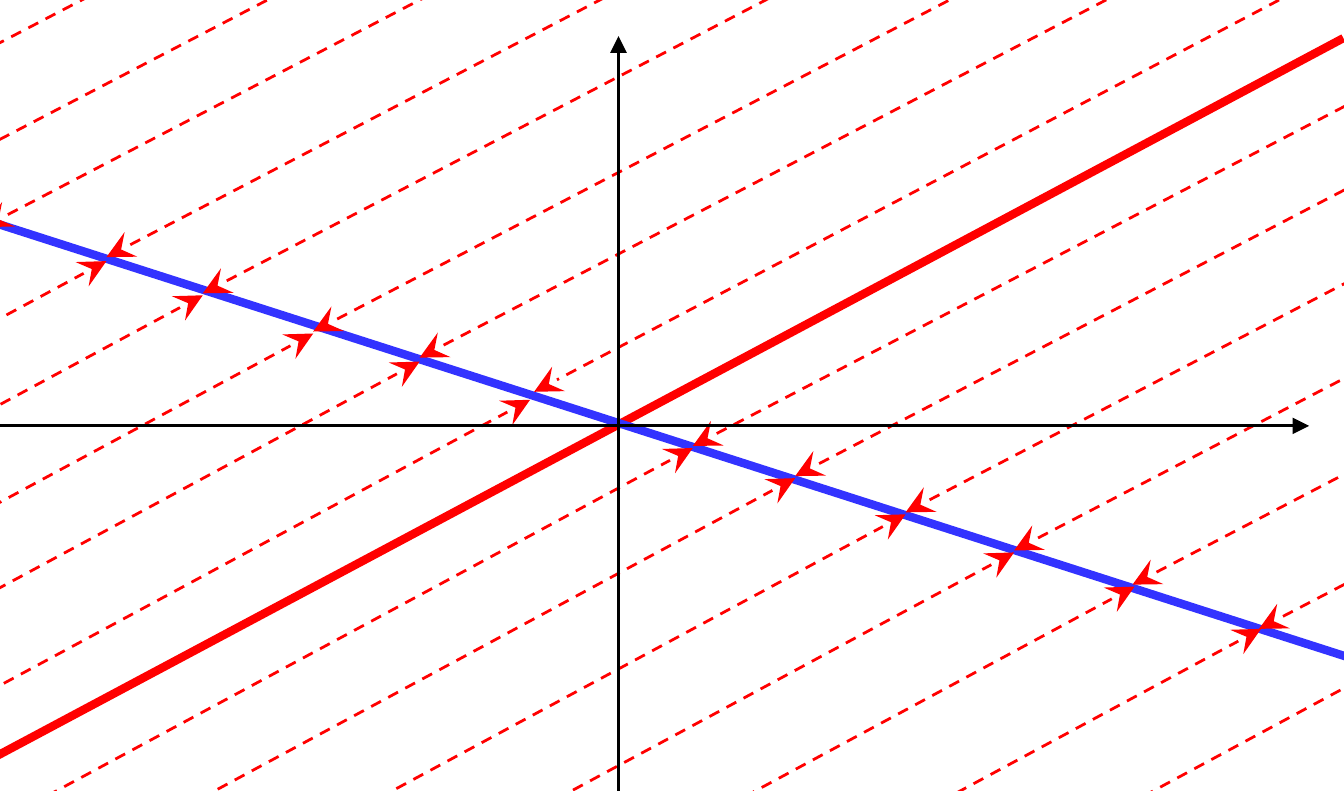
from dataclasses import dataclass

from lxml import etree
from pptx import Presentation
from pptx import util as u
from pptx.dml.color import RGBColor
from pptx.enum import dml, shapes
from pptx.oxml import ns

CM_PER_INCH = 2.54
PAGE_CM = {"slide_width": 17, "slide_height": 10}
COLORS = {"red": "FF0000", "blue": "3333FF", "black": "000000"}
STYLES = {
    "solid": {"width": u.Pt(3)},
    "flow": {"width": u.Pt(1), "dash_style": dml.MSO_LINE.DASH},
    "axis": {"width": u.Pt(1)},
}
ARROWS = {
    "flow": {"type": "stealth", "w": "lg", "len": "lg"},
    "axis": {"type": "triangle", "w": "med", "len": "med"},
}


@dataclass
class Line:
    x1: float
    y1: float
    x2: float
    y2: float
    color: str
    style: str


EIGENLINES = [
    Line(6.69, 0.19, -0.48, 4.01, "red", "solid"),
    Line(6.96, 3.35, -0.43, 0.98, "blue", "solid"),
]
AXES = [
    Line(3.08, 5.1, 3.08, 0.18, "black", "axis"),
    Line(-0.03, 2.12, 6.52, 2.12, "black", "axis"),
]
FROM_BELOW = (-3.64, 1.96)
FROM_ABOVE = (3.59, -1.87)
TIPS_BELOW = [
    (0.53, 1.3), (1.01, 1.47), (1.56, 1.66), (2.09, 1.8), (2.64, 1.99),
    (3.45, 2.23), (3.96, 2.38), (4.51, 2.56), (5.05, 2.75), (5.65, 2.92),
    (6.28, 3.13), (6.87, 3.33),
]
TIPS_ABOVE = [
    (-1.09, 0.78), (-0.55, 0.98), (-0.08, 1.13), (0.53, 1.28), (1.01, 1.46),
    (1.56, 1.65), (2.09, 1.78), (3.45, 2.22), (3.96, 2.37), (4.51, 2.55),
    (5.05, 2.74), (5.64, 2.91), (6.27, 3.13),
]
LONG_FLOW = Line(6.37, 0, 2.66, 1.95, "red", "flow")


def flow_lines(tips: list[tuple[float, float]], offset: tuple[float, float]) -> list[Line]:
    dx, dy = offset
    return [Line(x + dx, y + dy, x, y, "red", "flow") for x, y in tips]


def draw_line(target, line: Line) -> None:
    ends = [u.Inches(v) for v in (line.x1, line.y1, line.x2, line.y2)]
    sp = target.add_connector(shapes.MSO_CONNECTOR.STRAIGHT, *ends)
    sp.line.color.rgb = RGBColor.from_string(COLORS[line.color])
    for name, value in STYLES[line.style].items():
        setattr(sp.line, name, value)
    if line.style in ARROWS:
        ln = sp.line._get_or_add_ln()
        etree.SubElement(ln, ns.qn("a:tailEnd"), ARROWS[line.style])
    etree.SubElement(sp._element.spPr, ns.qn("a:effectLst"))


def main() -> None:
    prs = Presentation()
    for name, length in PAGE_CM.items():
        setattr(prs, name, u.Inches(length / CM_PER_INCH))
    s = prs.slides.add_slide(prs.slide_layouts[6])
    flows = flow_lines(TIPS_BELOW, FROM_BELOW) + flow_lines(TIPS_ABOVE, FROM_ABOVE)
    for line in EIGENLINES + flows + [LONG_FLOW]:
        draw_line(s.shapes, line)
    axes = s.shapes.add_group_shape()
    for line in AXES:
        draw_line(axes.shapes, line)
    prs.save("out.pptx")


if __name__ == "__main__":
    main()
